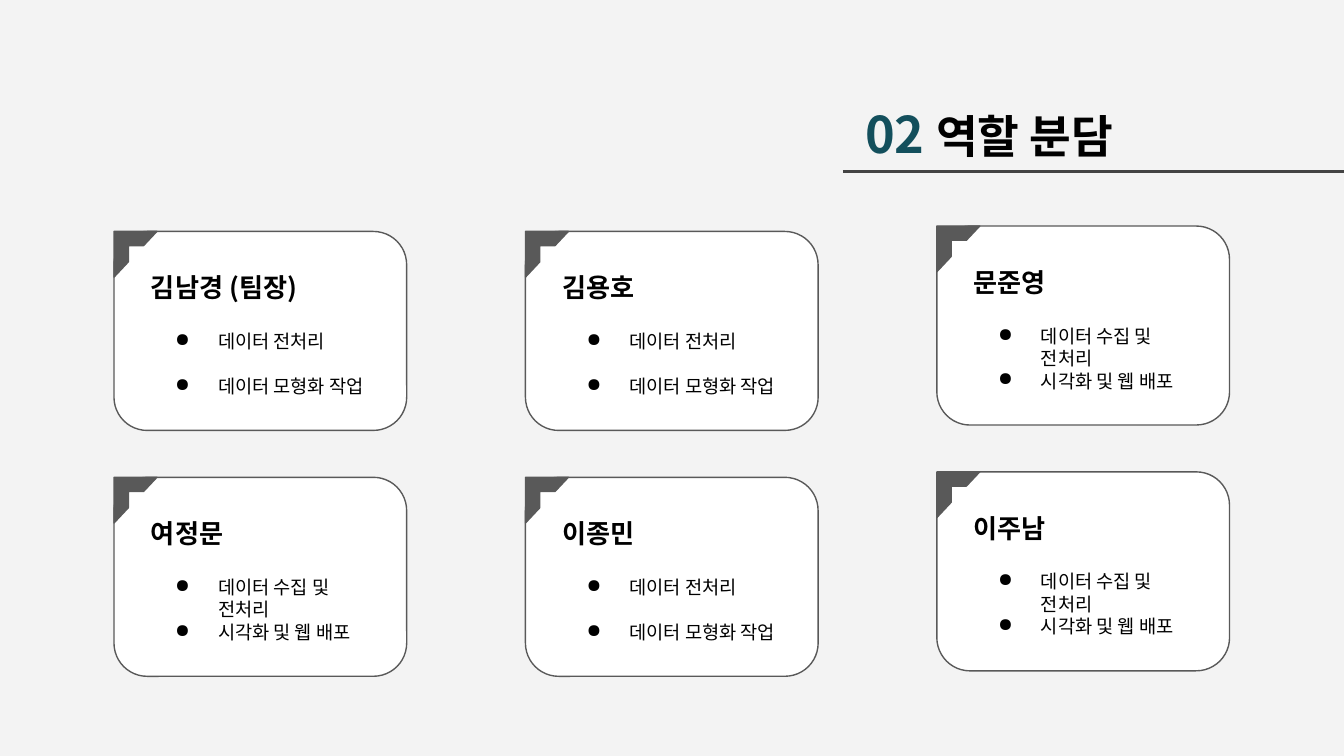
from dataclasses import dataclass

from lxml.etree import SubElement
from pptx import Presentation
from pptx.dml.color import RGBColor
from pptx.enum.shapes import MSO_CONNECTOR, MSO_SHAPE as Shape
from pptx.enum.text import MSO_ANCHOR as Anchor
from pptx.oxml.ns import qn
from pptx.util import Pt

NUMBER, TITLE = "02 ", "역할 분담"
MODELLING = ["데이터 전처리", "데이터 모형화 작업"]
PUBLISHING = ["데이터 수집 및 전처리", "시각화 및 웹 배포"]
MEMBERS = [
    [("김남경 (팀장)", MODELLING), ("김용호", MODELLING), ("문준영", PUBLISHING)],
    [("여정문", PUBLISHING), ("이종민", MODELLING), ("이주남", PUBLISHING)],
]


@dataclass(frozen=True)
class Theme:
    font: str = "Noto Sans CJK KR"
    background: str = "F3F3F3"
    rule: str = "434343"
    number: str = "134F5C"
    text: str = "000000"
    card: str = "FFFFFF"
    frame: str = "595959"
    number_size: float = 27
    title_size: float = 24.3
    name_size: float = 14
    task_size: float = 10


THEME = Theme()
SLIDE_WIDTH, SLIDE_HEIGHT = 720, 405
GRID_LEFT, GRID_TOP = 61.1, 124
COLUMN_STEP, ROW_STEP = 220.4, 131.7
LAST_COLUMN_RAISE = 2.9
CARD_SIZE = (156.8, 106.6)
CORNER_SIZE = (23, 24.5)
TEXT_OFFSET = (12.7, 14.3)
TEXT_SIZE = (132.5, 82)
INSET = 7.2
TASK_INDENT, BULLET_HANG = 36, 23
NAME_GAP, TASK_GAP = 14.4, 12


def color(value):
    return RGBColor.from_string(value)


def add_span(para, text, size, fill=THEME.text, bold=False):
    span = para.add_run()
    span.text = text
    span.font.name = THEME.font
    span.font.size = Pt(size)
    span.font.bold = bold
    span.font.color.rgb = color(fill)
    SubElement(span.font._element, qn("a:ea"), typeface=THEME.font)


def add_box(shapes, left, top, width, height, anchor=Anchor.TOP):
    box = shapes.add_textbox(Pt(left), Pt(top), Pt(width), Pt(height))
    frame = box.text_frame
    frame.word_wrap = True
    frame.vertical_anchor = anchor
    frame.margin_left = frame.margin_right = Pt(INSET)
    frame.margin_top = frame.margin_bottom = Pt(INSET)
    return frame


def add_outlined(shapes, kind, left, top, size, fill, adjustments):
    shape = shapes.add_shape(kind, Pt(left), Pt(top), *map(Pt, size))
    shape.shadow.inherit = False
    shape.fill.solid()
    shape.fill.fore_color.rgb = color(fill)
    shape.line.color.rgb = color(THEME.frame)
    shape.line.width = Pt(0.75)
    for index, value in enumerate(adjustments):
        shape.adjustments[index] = value


def make_bullet(para):
    properties = para._p.get_or_add_pPr()
    properties.set("marL", str(Pt(TASK_INDENT)))
    properties.set("indent", str(-Pt(BULLET_HANG)))
    bullet_color = SubElement(properties, qn("a:buClr"))
    SubElement(bullet_color, qn("a:srgbClr"), val=THEME.text)
    SubElement(properties, qn("a:buChar"), char="●")


def add_card(page, left, top, name, tasks):
    shapes = page.shapes.add_group_shape().shapes
    add_outlined(shapes, Shape.ROUNDED_RECTANGLE, left, top, CARD_SIZE,
                 THEME.card, [0.167])
    add_outlined(shapes, Shape.HALF_FRAME, left, top, CORNER_SIZE,
                 THEME.frame, [0.333, 0.333])
    frame = add_box(shapes, left + TEXT_OFFSET[0], top + TEXT_OFFSET[1], *TEXT_SIZE)
    add_span(frame.paragraphs[0], name, THEME.name_size, bold=True)
    # Short tasks get an open line between them; wrapping ones sit close.
    gaps = [NAME_GAP, TASK_GAP if tasks is MODELLING else 0]
    for task, gap in zip(tasks, gaps):
        para = frame.add_paragraph()
        make_bullet(para)
        para.space_before = Pt(gap)
        add_span(para, task, THEME.task_size)


def add_heading(page):
    rule = page.shapes.add_connector(
        MSO_CONNECTOR.STRAIGHT, Pt(451.5), Pt(91.7), Pt(SLIDE_WIDTH), Pt(91.7))
    rule.line.color.rgb = color(THEME.rule)
    rule.line.width = Pt(1.5)
    SubElement(rule._element.spPr, qn("a:effectLst"))
    frame = add_box(page.shapes, 456.5, 59, 263.5, 24.5, anchor=Anchor.MIDDLE)
    para = frame.paragraphs[0]
    add_span(para, NUMBER, THEME.number_size, fill=THEME.number, bold=True)
    add_span(para, TITLE, THEME.title_size, bold=True)


def main():
    deck = Presentation()
    deck.slide_width, deck.slide_height = Pt(SLIDE_WIDTH), Pt(SLIDE_HEIGHT)
    page = deck.slides.add_slide(deck.slide_layouts[6])
    page.background.fill.solid()
    page.background.fill.fore_color.rgb = color(THEME.background)
    add_heading(page)
    for row, members in enumerate(MEMBERS):
        for column, (name, tasks) in enumerate(members):
            is_last = column == len(members) - 1
            top = GRID_TOP + row * ROW_STEP - (LAST_COLUMN_RAISE if is_last else 0)
            add_card(page, GRID_LEFT + column * COLUMN_STEP, top, name, tasks)
    deck.save("out.pptx")


if __name__ == "__main__":
    main()
